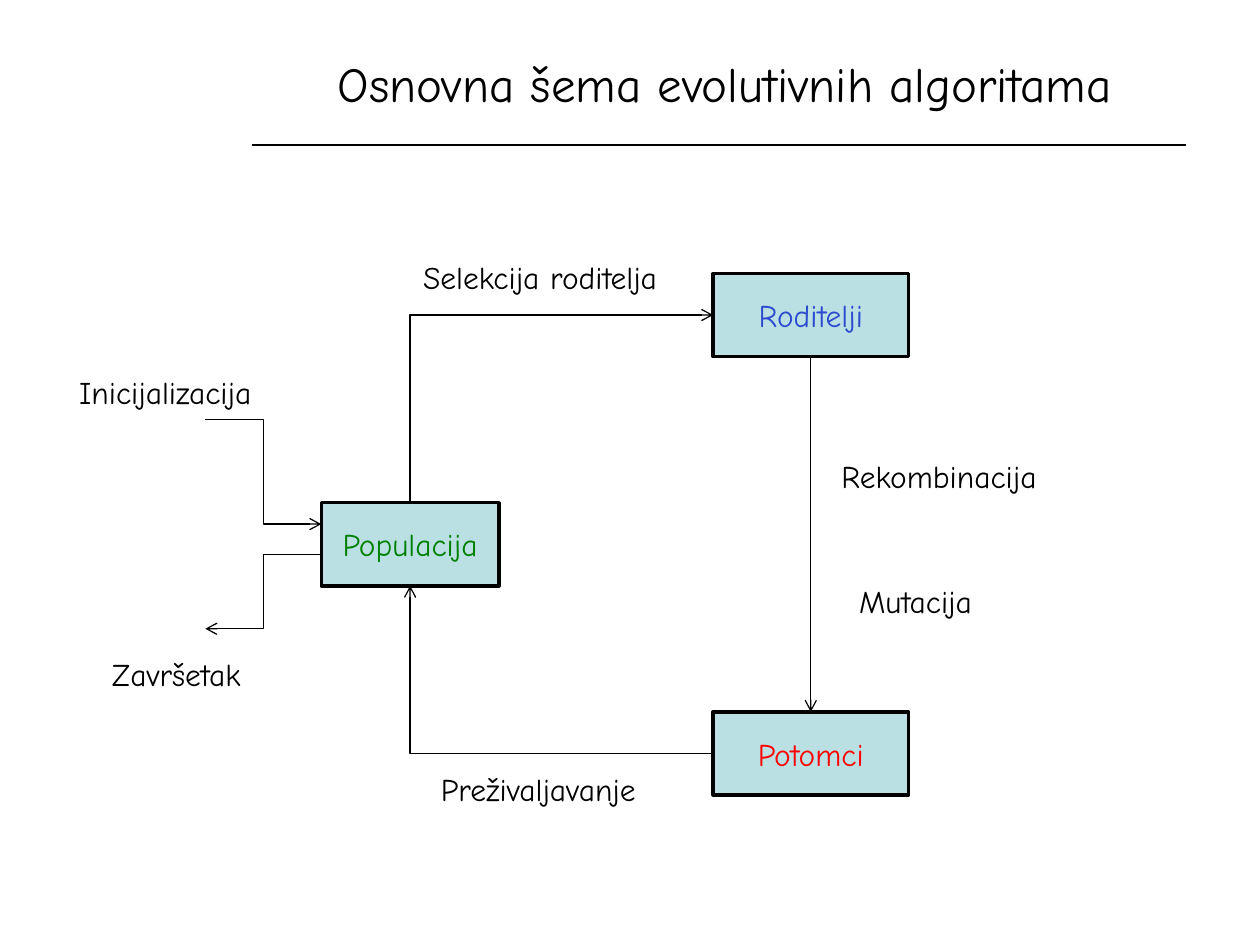
"""Builds the slide with the basic scheme of evolutionary algorithms."""
from lxml import etree
from pptx import Presentation
from pptx import util as u
from pptx.dml.color import RGBColor
from pptx.enum import shapes, text
from pptx.oxml import ns

FONT = "Comic Neue"
BLACK = RGBColor(0x00, 0x00, 0x00)
PALE_TEAL = RGBColor(0xBB, 0xE0, 0xE3)
GREEN = RGBColor(0x00, 0x80, 0x00)
BLUE = RGBColor(0x2B, 0x4A, 0xCF)
RED = RGBColor(0xFF, 0x00, 0x00)

WIDTH, HEIGHT = u.Inches(10), u.Inches(7.5)
COLUMNS, ROWS = 100, 75
LABEL_ROWS, STAGE_ROWS = 4, 6.6
TOP, LEFT, BOTTOM = 0, 1, 2

STAGES = {
    "Populacija": (25.5, 39.9, 14.1, GREEN),
    "Roditelji": (56.6, 21.7, 15.5, BLUE),
    "Potomci": (56.6, 56.5, 15.5, RED),
}
LABELS = [
    ("Inicijalizacija", 5.3, 29.1, 18.1),
    ("Završetak", 7.9, 51.5, 13.8),
    ("Selekcija roditelja", 32.6, 20, 24),
    ("Rekombinacija", 65.8, 35.8, 18.8),
    ("Mutacija", 67.2, 45.7, 12.4),
    ("Preživaljavanje", 34, 60.6, 19.7),
]


def across(columns):
    """Return the length of a number of grid columns."""
    return u.Emu(round(WIDTH * columns / COLUMNS))


def down(rows):
    """Return the length of a number of grid rows."""
    return u.Emu(round(HEIGHT * rows / ROWS))


def area(column, row, columns, rows):
    """Return left, top, width and height of a grid area."""
    return across(column), down(row), across(columns), down(rows)


def write(box, wording, size, color, align):
    """Put one formatted line of text into a shape."""
    frame = box.text_frame
    frame.text = wording
    para = frame.paragraphs[0]
    para.alignment = align
    font = para.runs[0].font
    font.name, font.size = FONT, u.Pt(size)
    font.color.rgb = color


def add_title(page, wording):
    """Place and fill the title placeholder."""
    box = page.shapes.title
    box.left, box.top, box.width, box.height = area(20, 2.8, 75, 7.5)
    box.text_frame.vertical_anchor = text.MSO_ANCHOR.MIDDLE
    box.text_frame.auto_size = text.MSO_AUTO_SIZE.NONE
    write(box, wording, 28, BLACK, text.PP_ALIGN.CENTER)


def add_stage(page, wording, column, row, columns, color):
    """Add a filled stage box and return it."""
    box = page.shapes.add_shape(
        shapes.MSO_SHAPE.RECTANGLE, *area(column, row, columns, STAGE_ROWS))
    box.shadow.inherit = False
    box.fill.solid()
    box.fill.fore_color.rgb = PALE_TEAL
    box.line.color.rgb = BLACK
    box.line.width = u.Pt(2)
    box.text_frame.vertical_anchor = text.MSO_ANCHOR.MIDDLE
    box.text_frame.word_wrap = False
    write(box, wording, 18, color, text.PP_ALIGN.CENTER)
    return box


def add_label(page, wording, column, row, columns):
    """Add a step label that does not wrap."""
    box = page.shapes.add_textbox(*area(column, row, columns, LABEL_ROWS))
    box.text_frame.word_wrap = False
    box.text_frame.auto_size = text.MSO_AUTO_SIZE.SHAPE_TO_FIT_TEXT
    write(box, wording, 18, BLACK, text.PP_ALIGN.LEFT)


def add_line(page, start, end, kind=shapes.MSO_CONNECTOR.STRAIGHT, arrow=None):
    """Add a thin black connector, with an arrowhead at one end if named."""
    line = page.shapes.add_connector(
        kind, across(start[0]), down(start[1]), across(end[0]), down(end[1]))
    line.line.color.rgb = BLACK
    line.line.width = u.Pt(0.75)
    if arrow:
        outline = line.line._get_or_add_ln()
        etree.SubElement(outline, ns.qn(f"a:{arrow}"), type="arrow")
    etree.SubElement(line._element.spPr, ns.qn("a:effectLst"))
    return line


def link(page, first, first_side, second, second_side, arrow, corner=False):
    """Join two stages, turning one corner if asked."""
    kind = shapes.MSO_CONNECTOR.ELBOW if corner else shapes.MSO_CONNECTOR.STRAIGHT
    line = add_line(page, (0, 0), (1, 1), kind, arrow)
    line.begin_connect(first, first_side)
    line.end_connect(second, second_side)
    if corner:
        line._element.spPr.find(ns.qn("a:prstGeom")).set("prst", "bentConnector2")


def main():
    """Build and save the slide."""
    deck = Presentation()
    deck.slide_width, deck.slide_height = WIDTH, HEIGHT
    page = deck.slides.add_slide(deck.slide_layouts[5])
    add_line(page, (20, 11.5), (94.1, 11.5))
    add_title(page, "Osnovna šema evolutivnih algoritama")
    population, parents, offspring = [
        add_stage(page, wording, *place) for wording, place in STAGES.items()]
    link(page, parents, LEFT, population, TOP, "headEnd", corner=True)
    link(page, offspring, LEFT, population, BOTTOM, "tailEnd", corner=True)
    link(page, parents, BOTTOM, offspring, TOP, "tailEnd")
    elbow = shapes.MSO_CONNECTOR.ELBOW
    add_line(page, (16.3, 33.3), (25.5, 41.6), elbow, "tailEnd")
    add_line(page, (25.5, 44), (16.3, 49.9), elbow, "tailEnd")
    for label in LABELS:
        add_label(page, *label)
    deck.save("out.pptx")


main()
